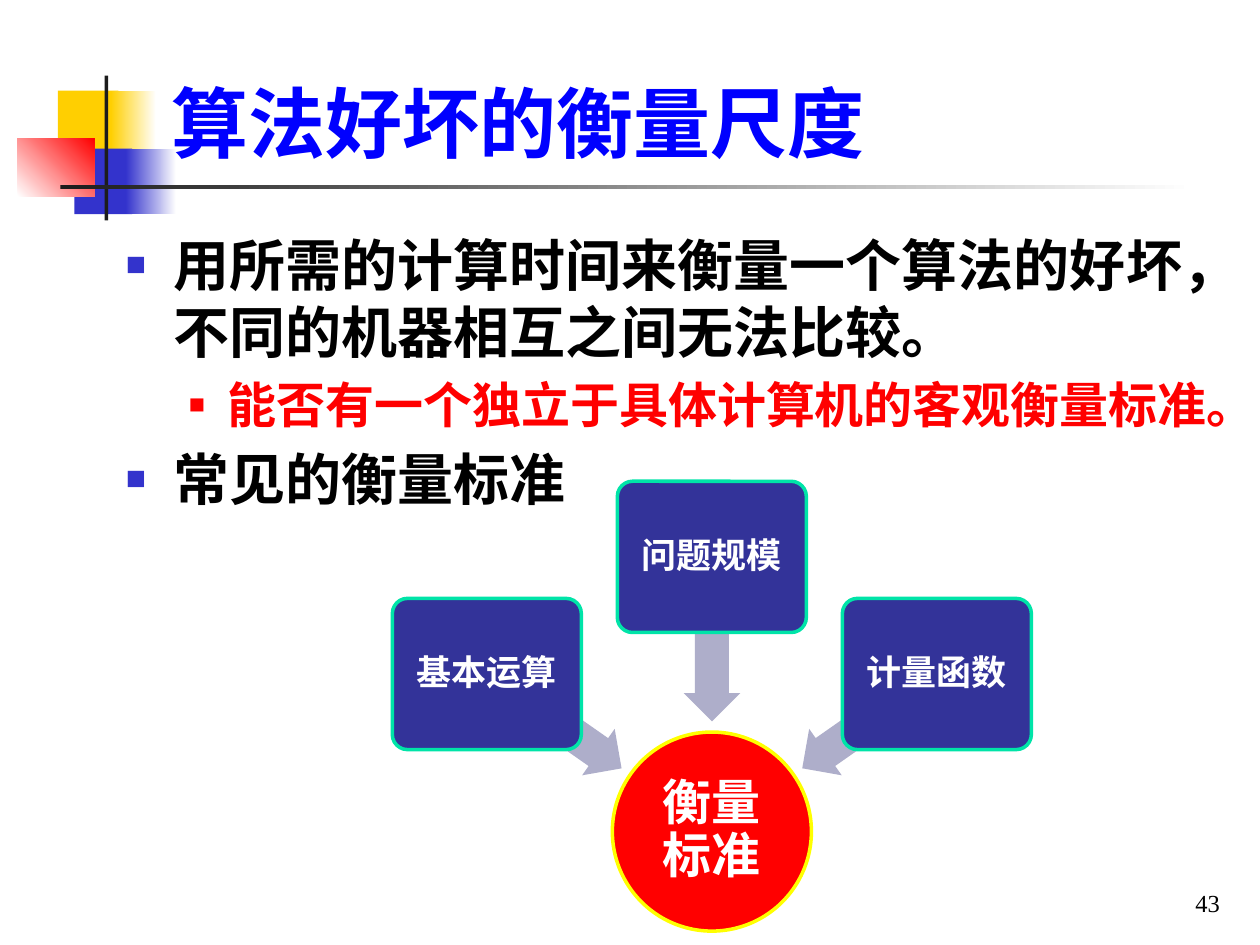
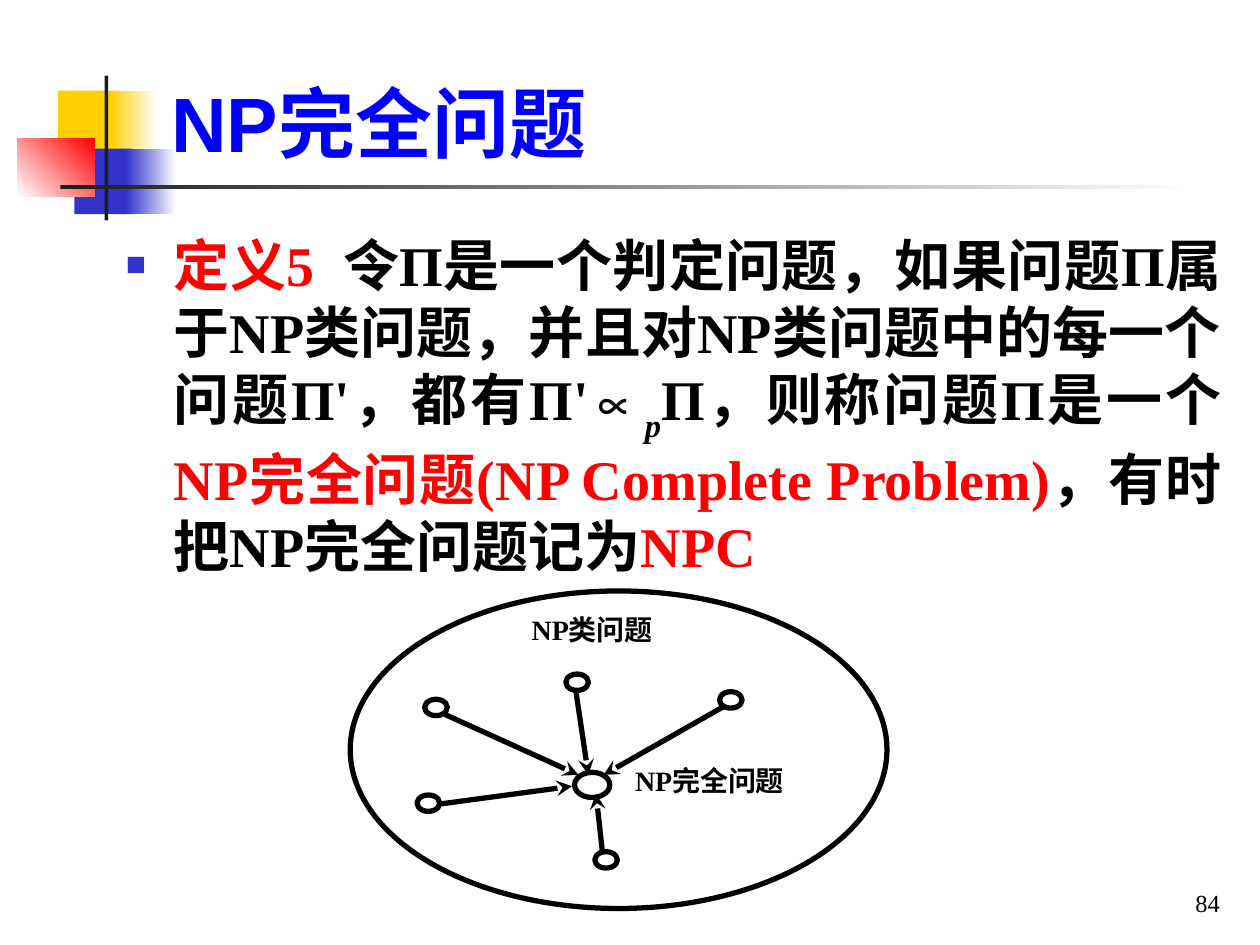
from dataclasses import dataclass
from math import cos, radians, sin

from lxml.etree import SubElement
from pptx import Presentation
from pptx.dml.color import RGBColor
from pptx.enum.shapes import MSO_CONNECTOR, MSO_SHAPE as SHAPE
from pptx.enum.text import MSO_ANCHOR as ANCHOR, PP_ALIGN as ALIGN
from pptx.oxml.ns import qn
from pptx.util import Pt

PX = 9144  # EMU in one px, 100 px to the inch


@dataclass(frozen=True)
class Theme:
    black: str = "000000"
    white: str = "FFFFFF"
    red: str = "FF0000"
    title: str = "0000FF"
    gold: str = "FFCF01"
    indigo: str = "3333CC"
    ink: str = "1C1C1C"
    box: str = "333399"
    box_edge: str = "00E4A8"
    hub_edge: str = "FFFF00"
    arrow: str = "AEAECA"
    cjk: str = "Noto Sans CJK SC"
    serif: str = "Times New Roman"
    sans: str = "Arial"
    title_size: int = 44
    body_size: int = 32
    sub_size: int = 28
    box_size: int = 20
    label_size: int = 16
    number_size: int = 14


T = Theme()

# Shared frame: left, top, width, height, colours, gradient angle
TITLE_AREA = (126, 23, 852, 115)
NUMBER_AREA = (770, 683, 208, 50)
DECORATION = [
    ((46, 72, 48, 52), [T.gold], 0),
    ((88, 72, 36, 52), [T.gold, T.white], 0),
    ((59, 118, 46, 52), [T.indigo], 0),
    ((100, 118, 40, 52), [T.indigo, T.white], 0),
    ((14, 110, 61, 46), [T.white, T.red], 45),
    ((83, 60, 3, 115), [T.ink], 0),
    ((48, 147, 900, 3), [T.ink, T.white], 0),
]

# Bullet levels: left margin, hanging indent, bullet colour, bullet percent, size
LEVELS = [
    (38, 38, T.indigo, 60, T.body_size),
    (81, 31, T.red, 55, T.sub_size),
]

# Slide 1: spans are (text, colour, extra font values)
MEASURE_TITLE = "算法好坏的衡量尺度"
MEASURE_AREA = (90, 178, 889, 260)
MEASURE_POINTS = [
    (0, [("用所需的计算时间来衡量一个算法的好坏，不同的机器相互之间无法比较。", T.black, {})]),
    (1, [("能否有一个独立于具体计算机的客观衡量标准。", T.red, {})]),
    (0, [("常见的衡量标准", T.black, {})]),
]
HUB_TEXT, HUB_CENTRE, HUB_SIZE = "衡量标准", (565, 660), 158
SPOKES = [("基本运算", 215), ("问题规模", 270), ("计量函数", 325)]
BOX_RADIUS, BOX_SIZE = 218, (150, 120)
ARROW_RADIUS, ARROW_SIZE = 153, (131, 45)

# Slide 2
NP_TITLE = "NP完全问题"
NP_AREA = (90, 178, 889, 493)
NP_POINTS = [
    (0, [
        ("定义5\u2002", T.red, {}),
        ("令Π是一个判定问题，如果问题Π属于NP类问题，并且对NP类问题中的"
         "每一个问题Π'，都有Π'∝", T.black, {}),
        ("p", T.black, {"italic": True, "baseline": -30}),
        ("Π，则称问题Π是一个", T.black, {}),
        ("NP完全问题(NP Complete Problem)", T.red, {}),
        ("，有时把NP完全问题记为", T.black, {}),
        ("NPC", T.red, {}),
    ]),
]
NP_CLASS = (278, 469, 426, 252)
NP_COMPLETE = (456, 613, 28, 20)
NP_LABELS = [
    ("NP类问题", (422, 486, 149, 31)),
    ("NP完全问题", (504, 606, 165, 31)),
]
NODE_SIZE = (18, 13)
# Problem nodes: left-top corner, line start, line end
NODES = [
    ((337, 555), (353, 567), (459, 615)),
    ((331, 631), (350, 638), (454, 624)),
    ((472, 676), (478, 675), (473, 630)),
    ((449, 535), (457, 548), (467, 615)),
    ((571, 549), (574, 561), (479, 615)),
]


def emu(values):
    return [round(value * PX) for value in values]


def rgb(code):
    return RGBColor.from_string(code)


def around(centre, size):
    """Area of the given size centred on a point."""
    return [c - s / 2 for c, s in zip(centre, size)] + list(size)


def polar(centre, radius, angle):
    turn = radians(angle)
    return centre[0] + radius * cos(turn), centre[1] + radius * sin(turn)


def add_figure(page, kind, area, fills=(), edge=None, width=0, turn=0):
    figure = page.shapes.add_shape(kind, *emu(area))
    figure.shadow.inherit = False
    if len(fills) == 2:
        figure.fill.gradient()
        figure.fill.gradient_angle = turn
        for stop, code in zip(figure.fill.gradient_stops, fills):
            stop.color.rgb = rgb(code)
    elif fills:
        figure.fill.solid()
        figure.fill.fore_color.rgb = rgb(fills[0])
    else:
        figure.fill.background()
    if edge:
        figure.line.color.rgb = rgb(edge)
        figure.line.width = Pt(width)
    else:
        figure.line.fill.background()
    return figure


def add_span(para, text, size, color, face, **extra):
    span = para.add_run()
    span.text = text
    baseline = extra.pop("baseline", None)
    values = {"size": Pt(size), "name": face, "bold": True, **extra}
    for name, value in values.items():
        setattr(span.font, name, value)
    span.font.color.rgb = rgb(color)
    props = span._r.get_or_add_rPr()
    SubElement(props, qn("a:ea")).set("typeface", T.cjk)
    if baseline:
        props.set("baseline", str(baseline * 1000))


def set_frame(shape, anchor=ANCHOR.TOP, inset=None):
    frame = shape.text_frame
    frame.word_wrap = True
    frame.vertical_anchor = anchor
    if inset is not None:
        for side in ("left", "top", "right", "bottom"):
            setattr(frame, f"margin_{side}", inset * PX)
    return frame


def add_text(page, area, text, size, color, face, align, anchor=ANCHOR.TOP, inset=None, bold=True):
    frame = set_frame(page.shapes.add_textbox(*emu(area)), anchor, inset)
    para = frame.paragraphs[0]
    para.alignment = align
    add_span(para, text, size, color, face, bold=bold)


def fill_caption(shape, text, size, inset):
    para = set_frame(shape, ANCHOR.MIDDLE, inset).paragraphs[0]
    para.alignment = ALIGN.CENTER
    para.line_spacing = 0.9
    add_span(para, text, size, T.white, T.cjk)


def set_bullet(para, margin, hang, color, percent):
    props = para._p.get_or_add_pPr()
    props.set("marL", str(margin * PX))
    props.set("indent", str(-hang * PX))
    tint = SubElement(props, qn("a:buClr"))
    SubElement(tint, qn("a:srgbClr")).set("val", color)
    for tag, name, value in [
        ("a:buSzPct", "val", str(percent * 1000)),
        ("a:buFont", "typeface", T.sans),
        ("a:buChar", "char", "■"),
    ]:
        SubElement(props, qn(tag)).set(name, value)


def add_points(page, area, points, align=ALIGN.LEFT):
    frame = set_frame(page.shapes.add_textbox(*emu(area)))
    for index, (level, spans) in enumerate(points):
        para = frame.add_paragraph() if index else frame.paragraphs[0]
        *bullet, size = LEVELS[level]
        set_bullet(para, *bullet)
        para.alignment = align
        if index:
            para.space_before = Pt(size * 0.2)
        for text, color, extra in spans:
            add_span(para, text, size, color, T.serif, **extra)


def add_arrow(page, start, end):
    line = page.shapes.add_connector(MSO_CONNECTOR.STRAIGHT, *emu(start), *emu(end))
    line.line.color.rgb = rgb(T.black)
    line.line.width = Pt(3)
    SubElement(line.line._get_or_add_ln(), qn("a:tailEnd")).set("type", "stealth")
    SubElement(line._element.spPr, qn("a:effectLst"))


def add_page(deck, title, face, number):
    page = deck.slides.add_slide(deck.slide_layouts[6])
    for area, fills, turn in DECORATION:
        add_figure(page, SHAPE.RECTANGLE, area, fills, turn=turn)
    add_text(page, TITLE_AREA, title, T.title_size, T.title, face, ALIGN.LEFT, ANCHOR.BOTTOM)
    add_text(page, NUMBER_AREA, number, T.number_size, T.black, T.serif,
             ALIGN.RIGHT, ANCHOR.BOTTOM, bold=False)
    return page


def build_measure(deck):
    page = add_page(deck, MEASURE_TITLE, T.cjk, "43")
    add_points(page, MEASURE_AREA, MEASURE_POINTS)

    # Hub with three criteria pointing at it
    hub = add_figure(page, SHAPE.OVAL, around(HUB_CENTRE, (HUB_SIZE, HUB_SIZE)),
                     [T.red], T.hub_edge, 2)
    fill_caption(hub, HUB_TEXT, T.sub_size, 2)
    for caption, angle in SPOKES:
        middle = polar(HUB_CENTRE, ARROW_RADIUS, angle)
        arrow = add_figure(page, SHAPE.LEFT_ARROW, around(middle, ARROW_SIZE), [T.arrow])
        arrow.adjustments[0] = 0.6
        arrow.rotation = angle
        middle = polar(HUB_CENTRE, BOX_RADIUS, angle)
        box = add_figure(page, SHAPE.ROUNDED_RECTANGLE, around(middle, BOX_SIZE),
                         [T.box], T.box_edge, 2)
        box.adjustments[0] = 0.1
        fill_caption(box, caption, T.box_size, 4)


def build_np(deck):
    page = add_page(deck, NP_TITLE, T.sans, "84")
    add_points(page, NP_AREA, NP_POINTS, ALIGN.JUSTIFY)

    # NP class, its complete problem and the problems reducing to it
    ovals = [NP_CLASS, NP_COMPLETE] + [(*corner, *NODE_SIZE) for corner, _, _ in NODES]
    for area in ovals:
        add_figure(page, SHAPE.OVAL, area, edge=T.black, width=3)
    for text, area in NP_LABELS:
        add_text(page, area, text, T.label_size, T.black, T.serif, ALIGN.JUSTIFY, inset=0)
    for _, start, end in NODES:
        add_arrow(page, start, end)


def main():
    deck = Presentation()
    deck.slide_width, deck.slide_height = emu((1000, 750))
    build_measure(deck)
    build_np(deck)
    deck.save("out.pptx")


if __name__ == "__main__":
    main()
